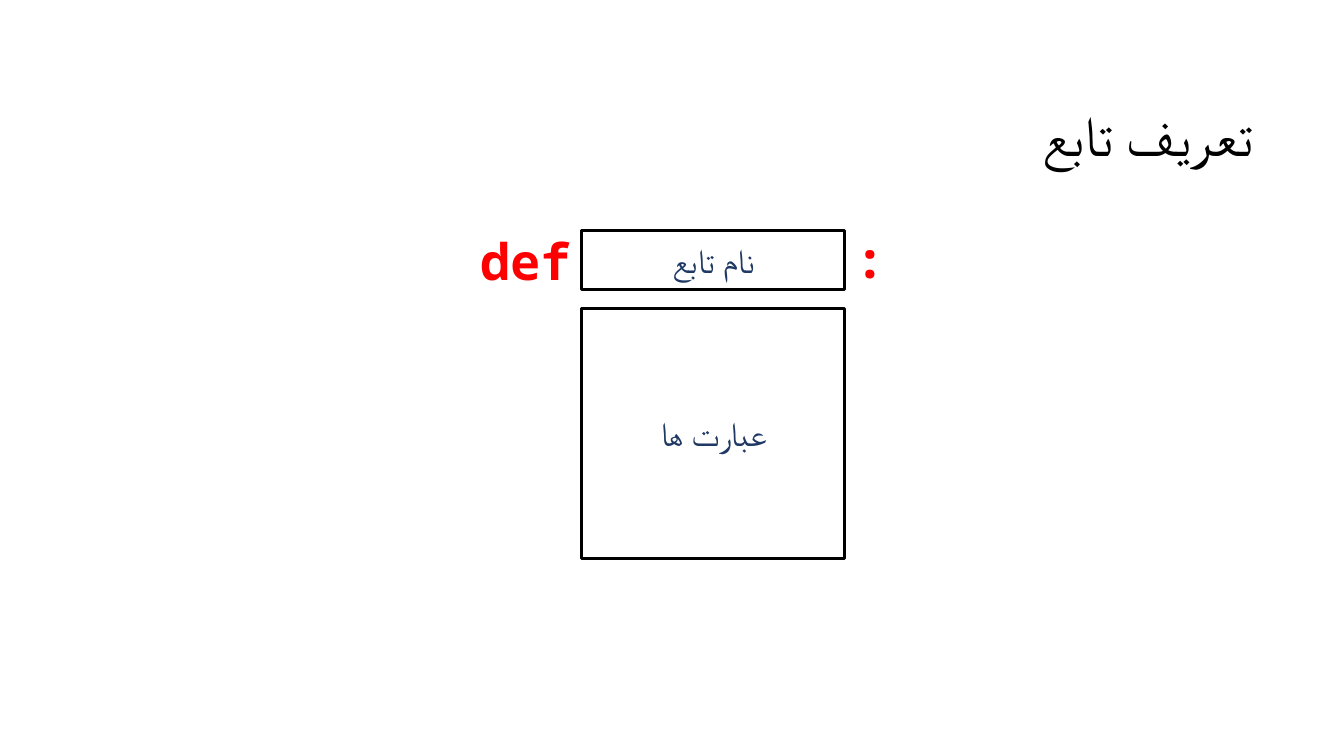
from pptx import Presentation
from pptx.dml.color import RGBColor
from pptx.enum.shapes import MSO_SHAPE
from pptx.enum.text import MSO_ANCHOR, MSO_AUTO_SIZE, PP_ALIGN
from pptx.util import Inches, Pt

BLACK = RGBColor(0x00, 0x00, 0x00)
WHITE = RGBColor(0xFF, 0xFF, 0xFF)
NAVY = RGBColor(0x1F, 0x38, 0x64)
RED = RGBColor(0xFF, 0x00, 0x00)
RECTANGLE = MSO_SHAPE.RECTANGLE
BOTTOM, MIDDLE = MSO_ANCHOR.BOTTOM, MSO_ANCHOR.MIDDLE
CENTER = PP_ALIGN.CENTER
NO_FIT, GROW = MSO_AUTO_SIZE.NONE, MSO_AUTO_SIZE.SHAPE_TO_FIT_TEXT
MONO = "Noto Sans Mono"


def add_run(paragraph, text, font_name, size, color, bold=False):
    run = paragraph.add_run()
    run.text = text
    run.font.name = font_name
    run.font.size = Pt(size)
    run.font.color.rgb = color
    run.font.bold = bold


prs = Presentation()
prs.slide_width = Inches(13.33)
prs.slide_height = Inches(7.5)
slide = prs.slides.add_slide(prs.slide_layouts[5])

title = slide.shapes.title
title.left, title.top = Inches(9.44), Inches(0.81)
title.width, title.height = Inches(3.89), Inches(0.91)
title.text_frame.vertical_anchor = BOTTOM
title.text_frame.auto_size = NO_FIT
heading = title.text_frame.paragraphs[0]
heading.alignment = CENTER
heading.line_spacing = 0.9
heading._p.get_or_add_pPr().set("rtl", "1")
add_run(heading, "تعریف تابع", "Calibri", 40, BLACK)

for label, top, height in [("نام تابع", 2.29, 0.58), ("عبارت ها", 3.06, 2.48)]:
    part = slide.shapes.add_shape(
        RECTANGLE, Inches(5.77), Inches(top), Inches(2.61), Inches(height))
    part.shadow.inherit = False
    part.fill.solid()
    part.fill.fore_color.rgb = WHITE
    part.line.color.rgb = BLACK
    part.line.width = Pt(2)
    part.text_frame.vertical_anchor = MIDDLE
    part_line = part.text_frame.paragraphs[0]
    part_line.alignment = CENTER
    add_run(part_line, label, MONO, 24, NAVY)

for token, left, top, width in [("def", 4.66, 2.23, 1.11), (":", 8.38, 2.21, 0.51)]:
    keyword = slide.shapes.add_textbox(
        Inches(left), Inches(top), Inches(width), Inches(0.71))
    keyword.text_frame.word_wrap = False
    keyword.text_frame.auto_size = GROW
    add_run(keyword.text_frame.paragraphs[0], token, MONO, 36, RED, bold=True)

prs.save("out.pptx")
